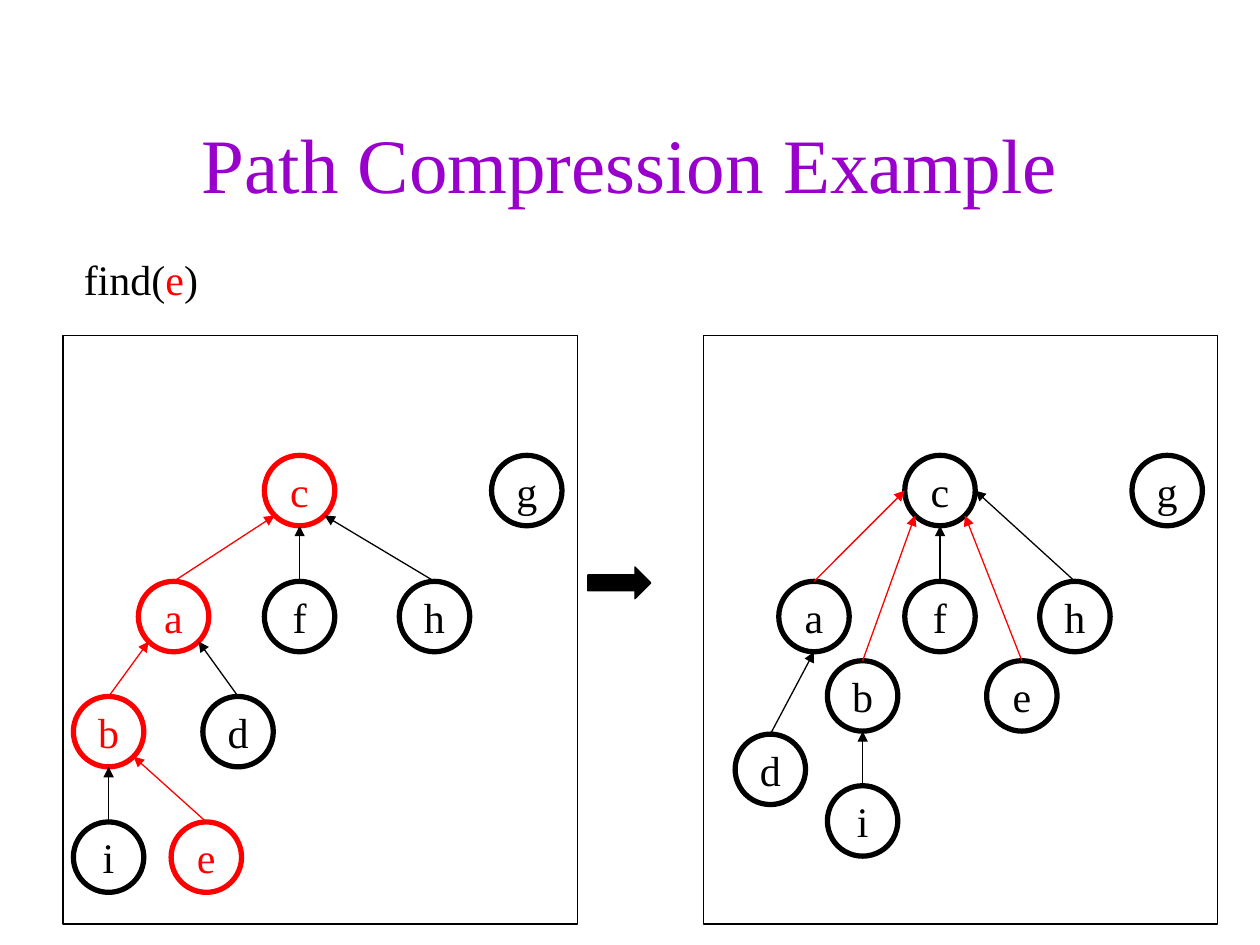
from math import sqrt
from lxml import etree
from pptx import Presentation
from pptx.dml.color import RGBColor
from pptx.enum.shapes import MSO_CONNECTOR, MSO_SHAPE
from pptx.enum.text import MSO_ANCHOR, PP_ALIGN
from pptx.oxml.ns import qn
from pptx.util import Cm, Pt

RECT, OVAL, ARROW = MSO_SHAPE.RECTANGLE, MSO_SHAPE.OVAL, MSO_SHAPE.RIGHT_ARROW
STRAIGHT = MSO_CONNECTOR.STRAIGHT
MIDDLE, CENTER, LEFT = MSO_ANCHOR.MIDDLE, PP_ALIGN.CENTER, PP_ALIGN.LEFT

TITLE = "Path Compression Example"
CALL = [("find(", "ink"), ("e", "path"), (")", "ink")]

UPPER_NODES = {"c": (4.06, 2.41), "g": (8.64, 2.41), "a": (1.52, 4.95),
               "f": (4.06, 4.95), "h": (6.78, 4.95)}
FORESTS = [
    {
        "left": 1.27,
        "nodes": {**UPPER_NODES, "b": (0.21, 7.27), "d": (2.82, 7.27),
                  "i": (0.21, 9.8), "e": (2.18, 9.8)},
        "red_nodes": "cabe",
        "edges": [("f", "c", "bottom"), ("h", "c", "bottom right"),
                  ("a", "c", "bottom left"), ("b", "a", "bottom left"),
                  ("d", "a", "bottom right"), ("e", "b", "bottom right"),
                  ("i", "b", "bottom")],
        "red_edges": "abe",
    },
    {
        "left": 14.18,
        "nodes": {**UPPER_NODES, "b": (2.5, 6.55), "e": (5.71, 6.55),
                  "d": (0.64, 8.03), "i": (2.5, 9.07)},
        "red_nodes": "",
        "edges": [("f", "c", "bottom"), ("h", "c", "right"),
                  ("a", "c", "left"), ("b", "c", "bottom left"),
                  ("e", "c", "bottom right"), ("d", "a", "bottom"),
                  ("i", "b", "bottom")],
        "red_edges": "abe",
    },
]

THEME = {
    "font": "Times New Roman",
    "title": RGBColor(0x99, 0x00, 0xCC),
    "ink": RGBColor(0, 0, 0),
    "path": RGBColor(0xFF, 0, 0),
    "paper": RGBColor(0xFF, 0xFF, 0xFF),
    "title_size": Pt(44),
    "text_size": Pt(24),
    "thin": Pt(0.74),
    "thick": Pt(3),
}

PANEL_TOP, PANEL_W, PANEL_H = 6.77, 10.37, 11.86
NODE = 1.42
R = NODE / 2
DIAG = R / sqrt(2)
SITES = {"top": (0, -R), "bottom": (0, R), "left": (-R, 0), "right": (R, 0),
         "bottom left": (-DIAG, DIAG), "bottom right": (DIAG, DIAG)}

prs = Presentation()
prs.slide_width, prs.slide_height = Cm(25.4), Cm(19.05)
slide = prs.slides.add_slide(prs.slide_layouts[5])


def write(tf, runs, size="text_size", align=CENTER):
    p = tf.paragraphs[0]
    p.alignment = align
    for text, color in runs:
        r = p.add_run()
        r.text = text
        r.font.name = THEME["font"]
        r.font.size = THEME[size]
        r.font.color.rgb = THEME[color]


def add_box(kind, x, y, w, h, fill=None, line="ink", weight="thin"):
    sp = slide.shapes.add_shape(kind, Cm(x), Cm(y), Cm(w), Cm(h))
    sp.shadow.inherit = False
    if fill:
        sp.fill.solid()
        sp.fill.fore_color.rgb = THEME[fill]
    else:
        sp.fill.background()
    sp.line.color.rgb = THEME[line]
    sp.line.width = THEME[weight]
    return sp


def add_node(name, x, y, color):
    tf = add_box(OVAL, x, y, NODE, NODE, line=color, weight="thick").text_frame
    tf.word_wrap = False
    tf.vertical_anchor = MIDDLE
    write(tf, [(name, color)])


def add_edge(start, end, color):
    cxn = slide.shapes.add_connector(STRAIGHT, *map(Cm, start + end))
    cxn.line.color.rgb = THEME[color]
    cxn.line.width = THEME["thin"]
    etree.SubElement(cxn.line._get_or_add_ln(), qn("a:tailEnd"), type="triangle")
    etree.SubElement(cxn._element.spPr, qn("a:effectLst"))


def add_forest(forest):
    left = forest["left"]
    add_box(RECT, left, PANEL_TOP, PANEL_W, PANEL_H, fill="paper")

    def site(name, side):
        x, y = forest["nodes"][name]
        dx, dy = SITES[side]
        return left + x + R + dx, PANEL_TOP + y + R + dy

    for name, (x, y) in forest["nodes"].items():
        color = "path" if name in forest["red_nodes"] else "ink"
        add_node(name, left + x, PANEL_TOP + y, color)
    for child, parent, side in forest["edges"]:
        color = "path" if child in forest["red_edges"] else "ink"
        add_edge(site(child, "top"), site(parent, side), color)


title = slide.shapes.title
title.left, title.top, title.width, title.height = Cm(1.9), Cm(1.69), Cm(21.6), Cm(3.18)
title.text_frame.vertical_anchor = MIDDLE
write(title.text_frame, [(TITLE, "title")], "title_size")

call = slide.shapes.add_textbox(Cm(1.44), Cm(4.98), Cm(3.2), Cm(1.27))
call.text_frame.word_wrap = True
write(call.text_frame, CALL, align=LEFT)

for forest in FORESTS:
    add_forest(forest)
add_box(ARROW, 11.85, 11.43, 1.27, 0.64, fill="ink")

prs.save("out.pptx")
